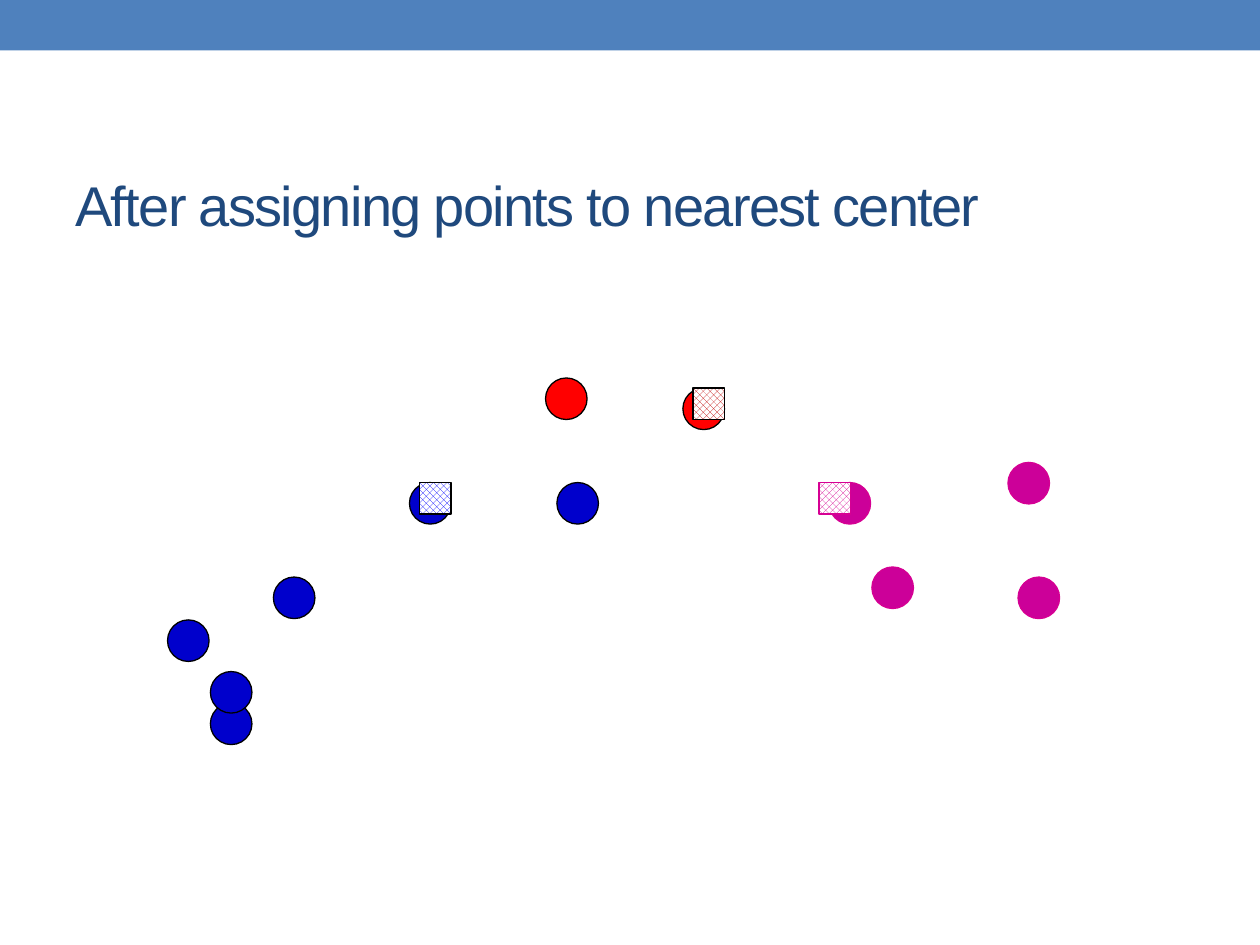
from dataclasses import dataclass

from pptx import Presentation
from pptx.dml.color import RGBColor
from pptx.enum.dml import MSO_PATTERN
from pptx.enum.shapes import MSO_SHAPE
from pptx.enum.text import MSO_ANCHOR
from pptx.util import Inches, Pt


@dataclass(frozen=True)
class Theme:
    font: str = "Arial"
    title_size: float = 32
    title_spacing: float = -1
    outline: float = 0.75
    point_size: float = 0.33
    center_size: float = 0.25
    title: str = "1F497D"
    banner: str = "4F81BD"
    white: str = "FFFFFF"


@dataclass(frozen=True)
class Cluster:
    point_fill: str
    center_hatch: str
    line: str


@dataclass(frozen=True)
class Marker:
    cluster: Cluster
    left: float
    top: float


THEME = Theme()
BLUE = Cluster("0000CC", "0000FF", "000000")
RED = Cluster("FF0000", "C00000", "000000")
MAGENTA = Cluster("CC0099", "D60093", "D60093")

POINTS = [
    Marker(BLUE, 1.67, 5.58),
    Marker(BLUE, 1.33, 4.92),
    Marker(BLUE, 2.17, 4.58),
    Marker(MAGENTA, 8, 3.67),
    Marker(RED, 4.33, 3),
    Marker(RED, 5.42, 3.08),
    Marker(BLUE, 4.42, 3.83),
    Marker(BLUE, 3.25, 3.83),
    Marker(MAGENTA, 8.08, 4.58),
    Marker(MAGENTA, 6.58, 3.83),
    Marker(BLUE, 1.67, 5.33),
    Marker(MAGENTA, 6.92, 4.5),
]
CENTERS = [
    Marker(BLUE, 3.33, 3.83),
    Marker(RED, 5.5, 3.08),
    Marker(MAGENTA, 6.5, 3.83),
]


def rgb(value: str) -> RGBColor:
    return RGBColor.from_string(value)


def add_banner(slide) -> None:
    banner = slide.shapes.add_shape(
        MSO_SHAPE.RECTANGLE, 0, 0, Inches(10), Inches(0.4))
    banner.shadow.inherit = False
    banner.fill.solid()
    banner.fill.fore_color.rgb = rgb(THEME.banner)
    banner.line.fill.background()


def add_title(slide, text: str) -> None:
    box = slide.shapes.add_textbox(
        Inches(0.5), Inches(1.08), Inches(9), Inches(1.08))
    frame = box.text_frame
    frame.word_wrap = True
    frame.vertical_anchor = MSO_ANCHOR.MIDDLE
    run = frame.paragraphs[0].add_run()
    run.text = text
    run.font.name = THEME.font
    run.font.size = Pt(THEME.title_size)
    run.font.color.rgb = rgb(THEME.title)
    run.font._element.set("spc", str(int(THEME.title_spacing * 100)))


def add_marker(slide, marker: Marker, kind: MSO_SHAPE, size: float):
    shape = slide.shapes.add_shape(
        kind, Inches(marker.left), Inches(marker.top), Inches(size), Inches(size))
    shape.shadow.inherit = False
    shape.line.color.rgb = rgb(marker.cluster.line)
    shape.line.width = Pt(THEME.outline)
    return shape


def add_point(slide, marker: Marker) -> None:
    point = add_marker(slide, marker, MSO_SHAPE.OVAL, THEME.point_size)
    point.fill.solid()
    point.fill.fore_color.rgb = rgb(marker.cluster.point_fill)


def add_center(slide, marker: Marker) -> None:
    center = add_marker(slide, marker, MSO_SHAPE.RECTANGLE, THEME.center_size)
    center.fill.patterned()
    center.fill.pattern = MSO_PATTERN.LARGE_CHECKER_BOARD
    center.fill.fore_color.rgb = rgb(marker.cluster.center_hatch)
    center.fill.back_color.rgb = rgb(THEME.white)


def main() -> None:
    deck = Presentation()
    deck.slide_width, deck.slide_height = Inches(10), Inches(7.5)
    slide = deck.slides.add_slide(deck.slide_layouts[6])
    add_banner(slide)
    add_title(slide, "After assigning points to nearest center")
    for marker in POINTS:
        add_point(slide, marker)
    for marker in CENTERS:
        add_center(slide, marker)
    deck.save("out.pptx")


main()
